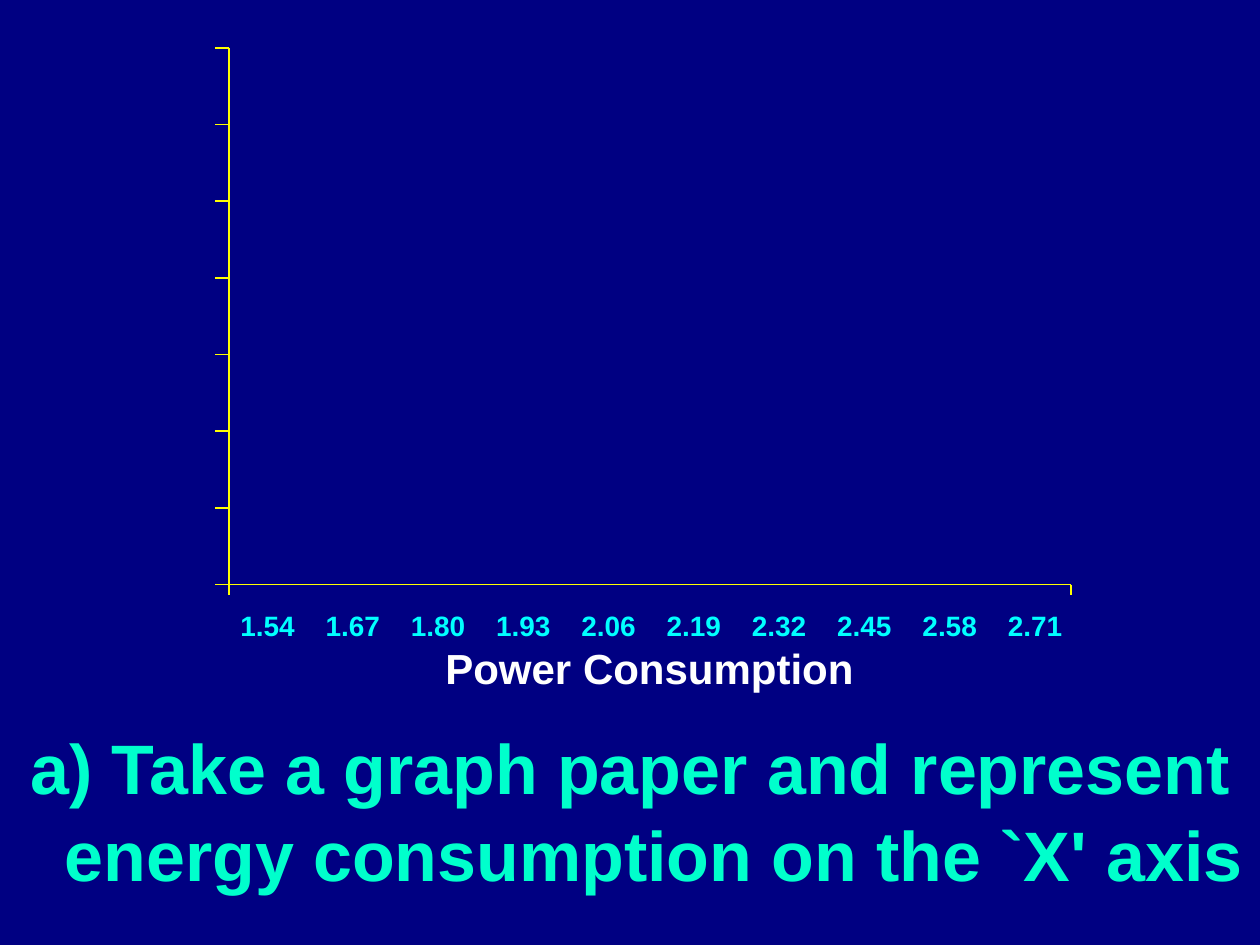
from lxml.etree import SubElement
from pptx import Presentation
from pptx.dml.color import RGBColor
from pptx.enum.text import MSO_ANCHOR, PP_ALIGN
from pptx.oxml.ns import qn
from pptx.util import Inches, Pt

NAVY = RGBColor(0x00, 0x00, 0x82)
YELLOW = RGBColor(0xFF, 0xFF, 0x00)
CYAN = RGBColor(0x00, 0xFF, 0xFF)
MINT = RGBColor(0x00, 0xFF, 0xCC)
WHITE = RGBColor(0xFF, 0xFF, 0xFF)

WIDTH, HEIGHT = 10, 7.5
INTERVALS = 7
CONSUMPTION = [f"{1.54 + 0.13 * step:.2f}" for step in range(10)]


def write(holder, text, size, color, align):
    frame = holder.text_frame
    frame.word_wrap = True
    frame.vertical_anchor = MSO_ANCHOR.TOP
    paragraph = frame.paragraphs[0]
    paragraph.alignment = align
    run = paragraph.add_run()
    run.text = text
    look = {"name": "Arial", "size": Pt(size), "bold": True}
    for attribute, value in look.items():
        setattr(run.font, attribute, value)
    run.font.color.rgb = color
    return paragraph


def add_label(slide, box, text, size, color, align):
    label = slide.shapes.add_textbox(*map(Inches, box))
    return label, write(label, text, size, color, align)


def add_rule(slide, x1, y1, x2, y2):
    rule = slide.shapes.add_connector(1, *map(Inches, (x1, y1, x2, y2)))
    rule.line.color.rgb = YELLOW
    rule.line.width = Pt(1)
    SubElement(rule._element.spPr, qn("a:effectLst"))


def add_axes(slide, left, top, width, height):
    right, bottom = left + width, top + height
    add_rule(slide, left, top, left, bottom)
    add_rule(slide, left, bottom, right, bottom)
    for tick in range(INTERVALS + 1):
        y = top + height * tick / INTERVALS
        add_rule(slide, left - 0.11, y, left, y)
    for x in (left, right):
        add_rule(slide, x, bottom, x, bottom + 0.08)


def add_axis_text(slide, left, top, width):
    scale, values = add_label(slide, (left, top, width, 0.37),
                              "\t".join(CONSUMPTION), 16, CYAN, PP_ALIGN.LEFT)
    scale.text_frame.margin_right = 0
    tabs = SubElement(values._p.get_or_add_pPr(), qn("a:tabLst"))
    for column in range(1, len(CONSUMPTION)):
        stop = Inches(6.09 * column / (len(CONSUMPTION) - 1))
        SubElement(tabs, qn("a:tab"), pos=str(stop), algn="l")
    add_label(slide, (left, top + 0.27, width - 0.04, 0.5),
              "Power Consumption", 24, WHITE, PP_ALIGN.CENTER)


def add_task(slide, left, top, width, height):
    task = slide.shapes.title
    box = {"left": left, "top": top, "width": width, "height": height}
    for side, length in box.items():
        setattr(task, side, Inches(length))
    paragraph = write(
        task,
        "a) Take a graph paper and represent energy consumption on the `X' axis",
        40, MINT, PP_ALIGN.CENTER)
    paragraph.line_spacing = 1.04
    indent = Inches(0.38)
    properties = paragraph._p.get_or_add_pPr()
    properties.set("marL", str(indent))
    properties.set("indent", str(-indent))


def main():
    deck = Presentation()
    deck.slide_width, deck.slide_height = Inches(WIDTH), Inches(HEIGHT)
    slide = deck.slides.add_slide(deck.slide_layouts[5])
    slide.background.fill.solid()
    slide.background.fill.fore_color.rgb = NAVY
    add_task(slide, 0, 5.67, WIDTH, 1.43)
    add_axes(slide, 1.82, 0.38, 6.68, 4.26)
    add_axis_text(slide, 1.81, 4.78, 6.73)
    deck.save("out.pptx")


if __name__ == "__main__":
    main()
